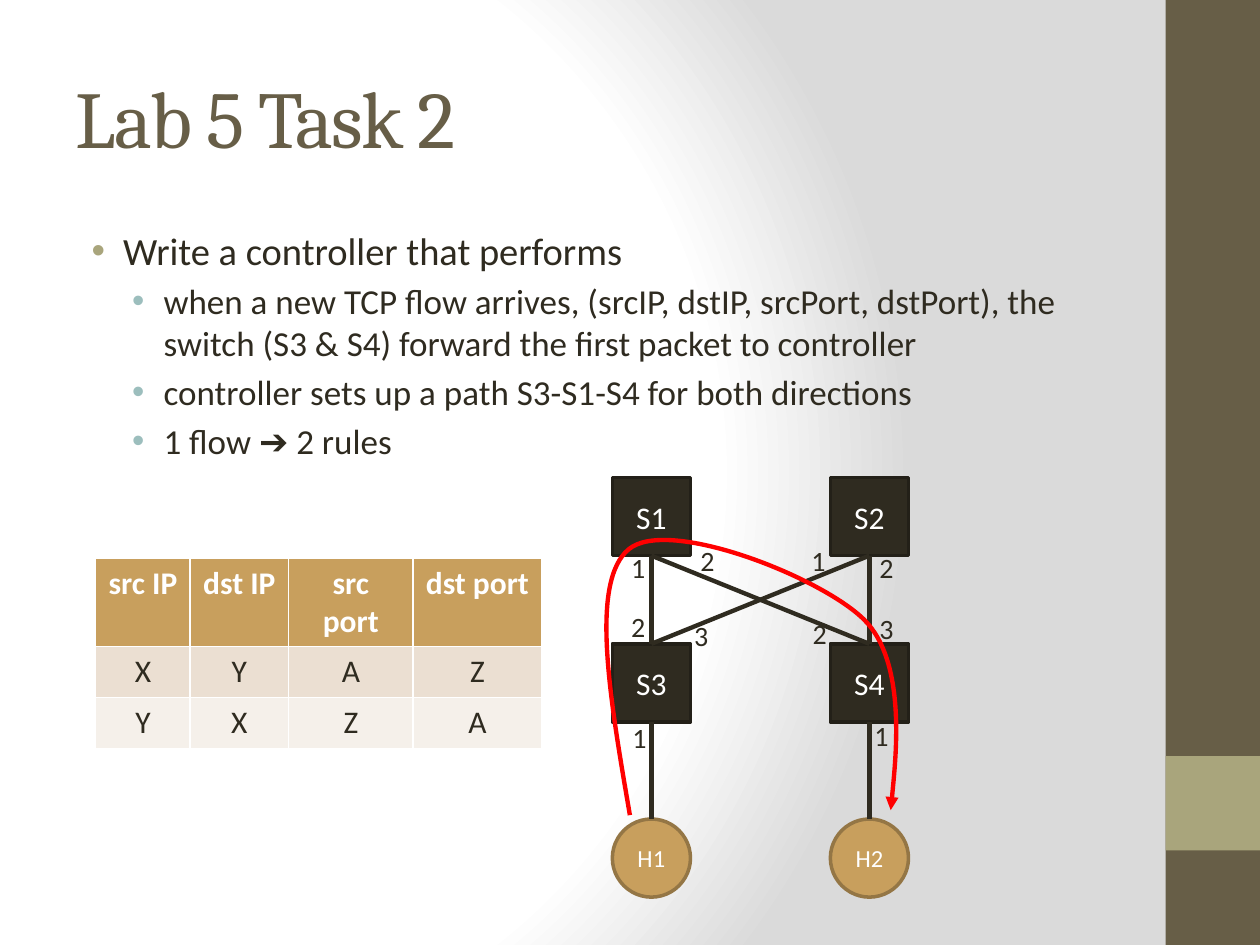
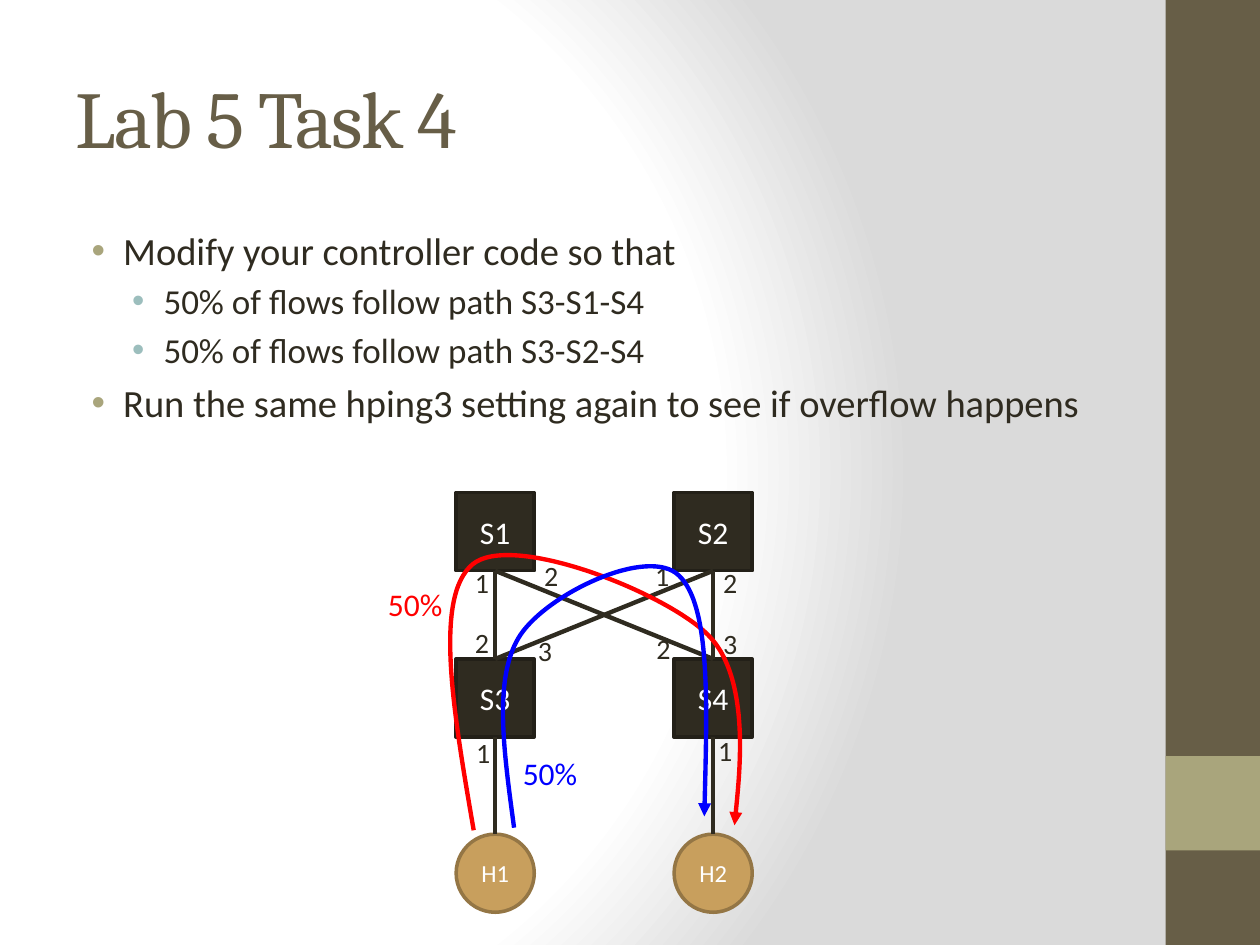
from dataclasses import dataclass

from lxml import etree
from pptx import Presentation
from pptx.dml.color import RGBColor
from pptx.enum.shapes import MSO_CONNECTOR, MSO_SHAPE
from pptx.enum.text import MSO_ANCHOR as ANCHOR, MSO_AUTO_SIZE, PP_ALIGN as ALIGN
from pptx.oxml import parse_xml
from pptx.oxml.ns import nsdecls, qn
from pptx.util import Inches, Pt


@dataclass(frozen=True)
class Theme:
    heading: str = "Cambria"
    body: str = "Calibri"
    brown: str = "675E47"
    olive: str = "A9A57C"
    teal: str = "9CBEBD"
    ink: str = "2F2B20"
    ink_edge: str = "232018"
    gold: str = "C89F5D"
    gold_edge: str = "947645"
    row_odd: str = "EBDFD2"
    row_even: str = "F5F0EA"
    white: str = "FFFFFF"
    grey: str = "DADADA"
    red: str = "FF0000"
    blue: str = "0000FF"
    title_size: int = 46
    bullet_sizes: tuple = (22, 20)
    label_size: int = 18
    port_size: int = 16
    host_size: int = 14
    link_width: float = 2.5


T = Theme()

NODE = 0.62
PITCH = 1.73
SWITCH_ROWS = (0, 1.32)
HOST_ROW = 2.71
PORTS = [
    ("1", 0.03, 0.6), ("2", 0.58, 0.54), ("1", 1.46, 0.54), ("2", 2.0, 0.6),
    ("2", 0.03, 1.07), ("3", 0.53, 1.14), ("2", 1.47, 1.12), ("3", 2.0, 1.08),
    ("1", 0.04, 1.95), ("1", 1.96, 1.93),
]
ROUTE_S1 = [
    (0.14, 2.68),
    (-0.02, 1.75), (-0.18, 0.83), (0.13, 0.57),
    (0.44, 0.31), (1.66, 0.79), (2.0, 1.13),
    (2.35, 1.48), (2.21, 2.64), (2.21, 2.64),
]
ROUTE_S2 = [
    (0.46, 2.66),
    (0.38, 2.06), (0.29, 1.46), (0.51, 1.13),
    (0.73, 0.8), (1.53, 0.42), (1.77, 0.66),
    (2.02, 0.9), (1.99, 1.74), (1.97, 2.57),
]


def rgb(value):
    return RGBColor.from_string(value)


def box(*lengths):
    return [Inches(v) for v in lengths]


def write(p, text, size, color=T.ink, font=T.body, bold=False, align=None, spacing=None):
    p.alignment = align
    r = p.add_run()
    r.text = text
    r.font.size = Pt(size)
    r.font.name = font
    r.font.bold = bold
    r.font.color.rgb = rgb(color)
    if spacing is not None:
        r._r.get_or_add_rPr().set("spc", str(spacing))


def add_box(shapes, kind, at, fill, edge=None):
    sp = shapes.add_shape(kind, *box(*at))
    sp.shadow.inherit = False
    sp.fill.solid()
    sp.fill.fore_color.rgb = rgb(fill)
    if edge:
        sp.line.color.rgb = rgb(edge)
        sp.line.width = Pt(2)
    else:
        sp.line.fill.background()
    return sp


def add_label(shapes, text, at, **fmt):
    tf = shapes.add_textbox(*box(*at)).text_frame
    center_text(tf, text, **fmt)


def center_text(tf, text, **fmt):
    tf.margin_left = tf.margin_right = tf.margin_top = tf.margin_bottom = 0
    tf.word_wrap = True
    tf.vertical_anchor = ANCHOR.MIDDLE
    write(tf.paragraphs[0], text, align=ALIGN.CENTER, **fmt)


def add_link(shapes, start, end):
    c = shapes.add_connector(MSO_CONNECTOR.STRAIGHT, *box(*start, *end))
    c.line.color.rgb = rgb(T.ink)
    c.line.width = Pt(T.link_width)
    etree.SubElement(c._element.spPr, qn("a:effectLst"))


def curve_point(p0, p1, p2, p3, t):
    u = 1 - t
    return tuple(u**3 * a + 3 * u * u * t * b + 3 * u * t * t * c + t**3 * d
                 for a, b, c, d in zip(p0, p1, p2, p3))


def add_route(shapes, origin, route, color):
    points = [(origin[0] + x, origin[1] + y) for x, y in route]
    samples = [curve_point(*points[i:i + 4], step / 20)
               for i in range(0, len(points) - 1, 3) for step in range(21)]
    xs, ys = zip(*samples)
    left, top = min(xs), min(ys)
    builder = shapes.build_freeform(Inches(left), Inches(top))
    builder.add_line_segments([box(max(xs), max(ys))], close=False)
    sp = builder.convert_to_shape()
    sp.shadow.inherit = False
    sp.fill.background()
    sp.line.color.rgb = rgb(color)
    sp.line.width = Pt(T.link_width)
    outline = sp._element.find(".//" + qn("a:path"))
    for child in list(outline):
        outline.remove(child)
    segments = [("a:moveTo", points[:1])]
    segments += [("a:cubicBezTo", points[i:i + 3]) for i in range(1, len(points), 3)]
    for tag, group in segments:
        segment = etree.SubElement(outline, qn(tag))
        for x, y in group:
            etree.SubElement(segment, qn("a:pt"), x=str(Inches(x - left)), y=str(Inches(y - top)))
    etree.SubElement(sp.line._get_or_add_ln(), qn("a:tailEnd"), type="triangle")


def add_network(slide, left, top):
    shapes = slide.shapes.add_group_shape().shapes
    columns = [left, left + PITCH]
    for row, y in enumerate(SWITCH_ROWS):
        for col, x in enumerate(columns):
            sp = add_box(shapes, MSO_SHAPE.RECTANGLE, (x, top + y, NODE, NODE), T.ink, T.ink_edge)
            center_text(sp.text_frame, f"S{2 * row + col + 1}", size=T.label_size, color=T.white)
    for col, x in enumerate(columns):
        sp = add_box(shapes, MSO_SHAPE.OVAL, (x, top + HOST_ROW, NODE, NODE), T.gold, T.gold_edge)
        center_text(sp.text_frame, f"H{col + 1}", size=T.host_size, color=T.white)
    centers = [x + NODE / 2 for x in columns]
    upper, lower = (top + y + NODE for y in SWITCH_ROWS)
    for start in centers:
        for end in centers:
            add_link(shapes, (start, upper), (end, top + SWITCH_ROWS[1]))
        add_link(shapes, (start, lower), (start, top + HOST_ROW))
    for port, x, y in PORTS:
        add_label(shapes, port, (left + x, top + y, 0.35, 0.23), size=T.port_size)


def add_bullets(slide, items):
    tf = slide.shapes.add_textbox(*box(0.5, 1.75, 8.33, 5.25)).text_frame
    tf.word_wrap = True
    for i, (level, text) in enumerate(items):
        p = tf.paragraphs[0] if i == 0 else tf.add_paragraph()
        size = T.bullet_sizes[level]
        p.level = level
        p.space_before = Pt(size * 0.2)
        write(p, text, size)
        pPr = p._p.get_or_add_pPr()
        pPr.set("marL", str(Inches((0.38, 0.7)[level])))
        pPr.set("indent", str(Inches(-0.25)))
        color = etree.SubElement(pPr, qn("a:buClr"))
        etree.SubElement(color, qn("a:srgbClr"), val=(T.olive, T.teal)[level])
        etree.SubElement(pPr, qn("a:buFont"), typeface="Arial")
        etree.SubElement(pPr, qn("a:buChar"), char="•")


def add_rules_table(slide, rows, at, widths):
    table = slide.shapes.add_table(len(rows), len(widths), *box(*at)).table
    for column, width in zip(table.columns, widths):
        column.width = Inches(width)
    fills = (T.gold, T.row_odd, T.row_even)
    for r, values in enumerate(rows):
        for c, text in enumerate(values):
            cell = table.cell(r, c)
            cell.fill.solid()
            cell.fill.fore_color.rgb = rgb(fills[r])
            write(cell.text_frame.paragraphs[0], text, T.label_size, bold=r == 0,
                  color=T.ink if r else T.white, align=ALIGN.CENTER)


def style_master(prs, slide):
    master = prs.slide_master
    master.background.fill.gradient()
    old = master._element.find(".//" + qn("p:bgPr") + "/" + qn("a:gradFill"))
    stops = "".join(f'<a:gs pos="{pos}"><a:srgbClr val="{color}"/></a:gs>'
                    for pos, color in ((0, T.white), (75000, T.white), (100000, T.grey)))
    old.getparent().replace(old, parse_xml(
        f'<a:gradFill {nsdecls("a")} rotWithShape="1"><a:gsLst>{stops}</a:gsLst>'
        '<a:path path="circle"><a:fillToRect l="20000" t="50000" r="100000" b="50000"/>'
        '</a:path></a:gradFill>'))
    bands = (((9.25, 0, 0.75, 7.5), T.brown), ((9.25, 6, 0.75, 0.75), T.olive))
    for i, (at, color) in enumerate(bands):
        sp = add_box(slide.shapes, MSO_SHAPE.RECTANGLE, at, color)
        sp._element.nvSpPr.cNvPr.set("id", str(20 + i))
        master.shapes._spTree.insert(2 + i, sp._element)


def add_slide(prs, title, bullets):
    slide = prs.slides.add_slide(prs.slide_layouts[5])
    sp = slide.shapes.title
    sp.left, sp.top, sp.width, sp.height = box(0.5, 0.3, 8.33, 1.25)
    tf = sp.text_frame
    tf.auto_size = MSO_AUTO_SIZE.NONE
    tf.vertical_anchor = ANCHOR.MIDDLE
    write(tf.paragraphs[0], title, T.title_size, color=T.brown, font=T.heading,
          align=ALIGN.LEFT, spacing=-100)
    add_bullets(slide, bullets)
    return slide


def build_task_2(prs):
    slide = add_slide(prs, "Lab 5 Task 2", [
        (0, "Write a controller that performs"),
        (1, "when a new TCP flow arrives, (srcIP, dstIP, srcPort, dstPort), the switch "
            "(S3 & S4) forward the first packet to controller"),
        (1, "controller sets up a path S3-S1-S4 for both directions"),
        (1, "1 flow ➔ 2 rules"),
    ])
    origin = (4.86, 3.79)
    add_network(slide, *origin)
    add_route(slide.shapes, origin, ROUTE_S1, T.red)
    rows = [("src IP", "dst IP", "src port", "dst port"), "XYAZ", "YXZA"]
    add_rules_table(slide, rows, (0.76, 4.43, 3.54, 1.22), (0.75, 0.78, 0.99, 1.02))
    return slide


def build_task_4(prs):
    slide = add_slide(prs, "Lab 5 Task 4", [
        (0, "Modify your controller code so that"),
        (1, "50% of flows follow path S3-S1-S4"),
        (1, "50% of flows follow path S3-S2-S4"),
        (0, "Run the same hping3 setting again to see if overflow happens"),
    ])
    origin = (3.62, 3.91)
    add_network(slide, *origin)
    for route, color, x, y in ((ROUTE_S1, T.red, 2.95, 4.53), (ROUTE_S2, T.blue, 4.02, 5.87)):
        add_route(slide.shapes, origin, route, color)
        add_label(slide.shapes, "50%", (x, y, 0.69, 0.52), size=T.label_size, color=color)


def main():
    prs = Presentation()
    prs.slide_width, prs.slide_height = box(10, 7.5)
    first = build_task_2(prs)
    build_task_4(prs)
    style_master(prs, first)
    prs.save("out.pptx")


main()
